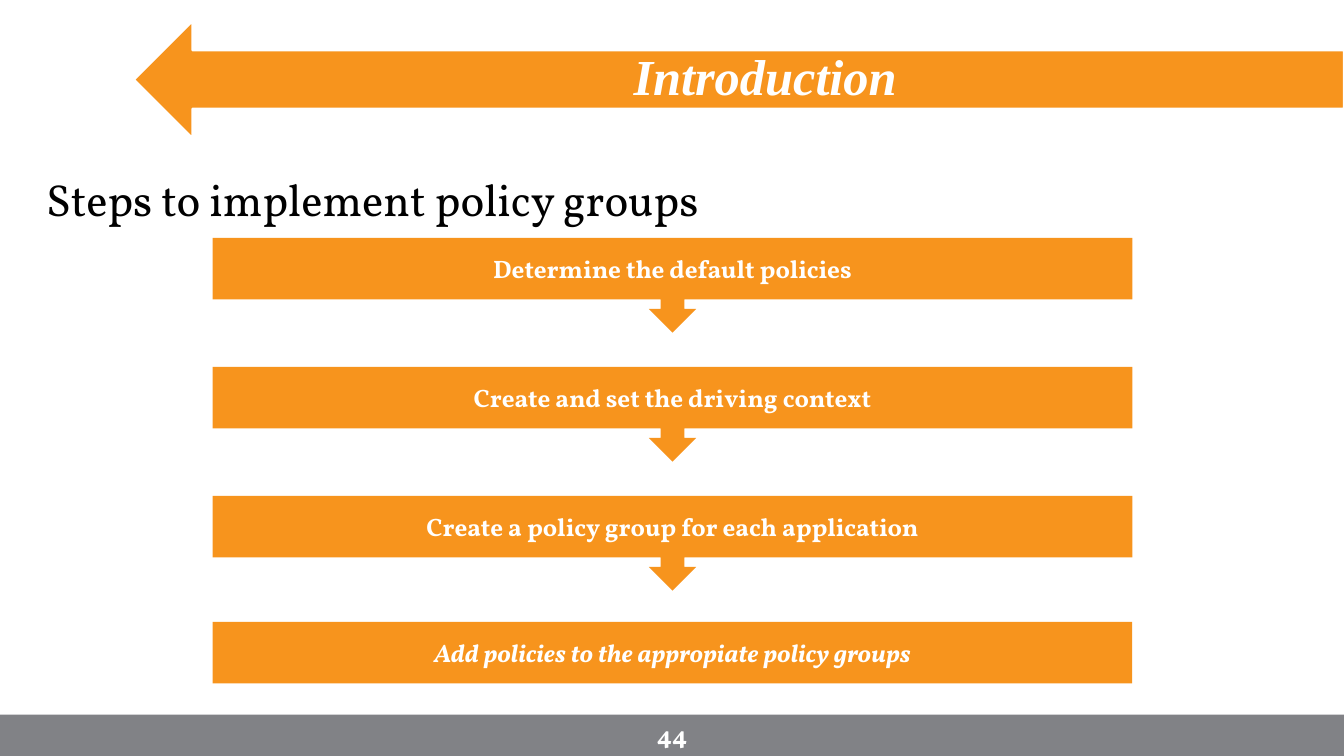
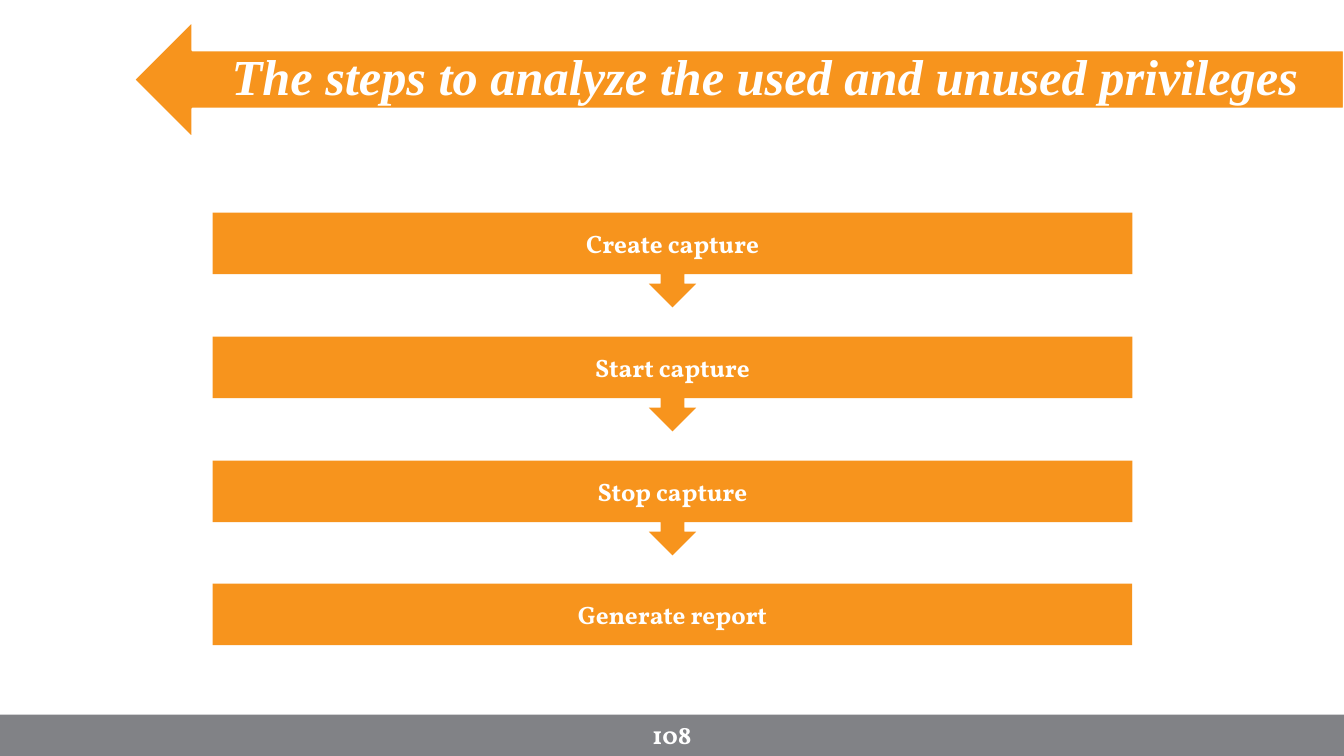
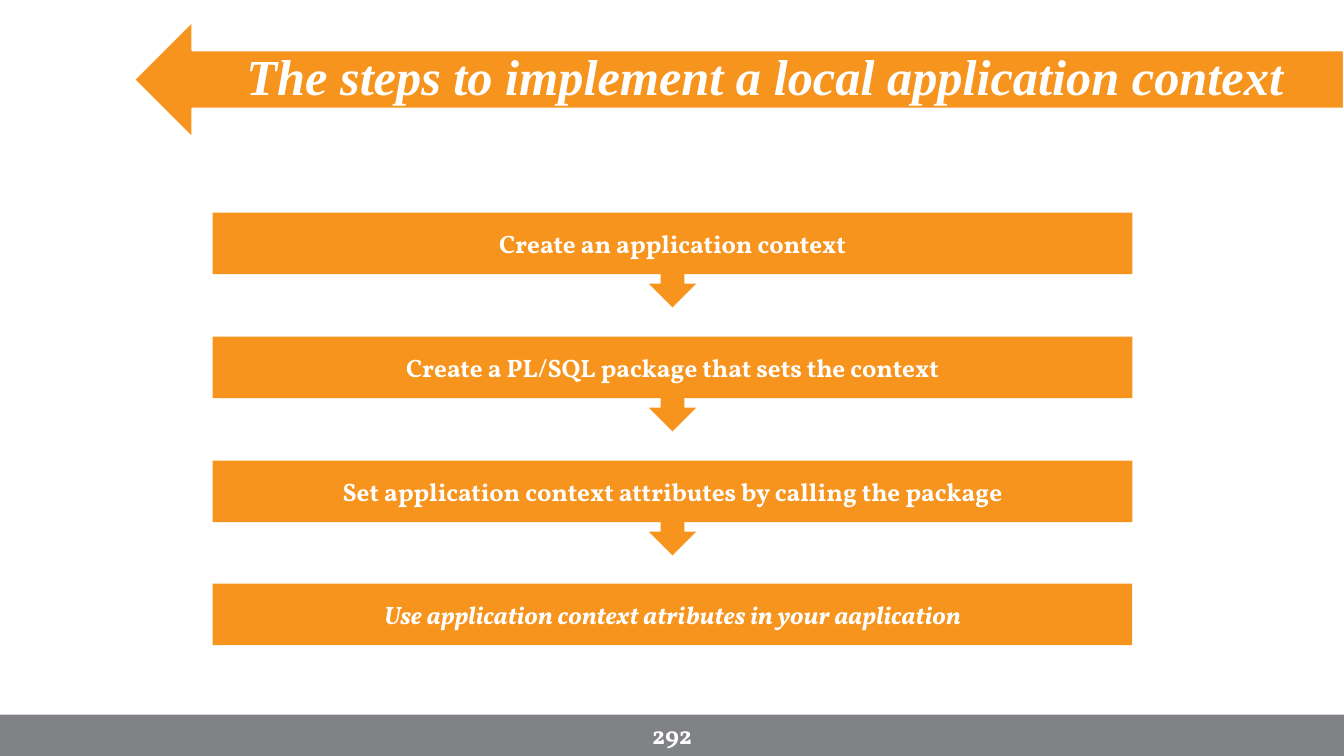
from pptx import Presentation
from pptx.dml.color import RGBColor as RGB
from pptx.enum.shapes import MSO_SHAPE as Kind
from pptx.enum.text import MSO_ANCHOR as Anchor, MSO_AUTO_SIZE as Fit, PP_ALIGN as Align
from pptx.oxml.ns import qn
from pptx.util import Inches, Pt
from lxml import etree

ORANGE, GRAY, WHITE, BLACK = "F7941D", "818286", "FFFFFF", "000000"
HEAD, BODY = "Times New Roman", "Vollkorn"
WIDE, HIGH = 13.33, 7.5
TITLE = (1.66, 0.43, 11.86, 0.72)
POINT = (1.33, 0.21, 12, 1.16)
FOOT = (0, 7.09, WIDE, 0.41)
NUMBER = (6.29, 7.09, 0.75, 0.4)
LEAD = (0.36, 1.65, 12.59, 0.7)

DECK = [
    dict(title="Introduction", number="44", lead="Steps to implement policy groups",
         top=2.36, pitch=1.28, end=6.17, slant=True,
         steps=["Determine the default policies",
                "Create and set the driving context",
                "Create a policy group for each application",
                "Add policies to the appropiate policy groups"]),
    dict(title="The steps to analyze the used and unused privileges", number="108",
         steps=["Create capture", "Start capture", "Stop capture", "Generate report"]),
    dict(title="The steps to implement a local application context", number="292",
         slant=True,
         steps=["Create an application context",
                "Create a PL/SQL package that sets the context",
                "Set application context attributes by calling the package",
                "Use application context atributes in your aaplication"]),
]


def color(code):
    return RGB.from_string(code)


def inches(box):
    return [Inches(n) for n in box]


def write(shape, text, size=18, face=BODY, ink=WHITE, bold=True, italic=False,
          align=Align.CENTER, anchor=Anchor.MIDDLE):
    frame = shape.text_frame
    frame.word_wrap = True
    frame.auto_size = Fit.NONE
    frame.vertical_anchor = anchor
    frame.text = text
    para = frame.paragraphs[0]
    para.alignment = align
    font = para.font
    font.name, font.size, font.bold, font.italic = face, Pt(size), bold, italic
    font.color.rgb = color(ink)
    return para


def block(slide, kind, box, fill, line=None):
    shape = slide.shapes.add_shape(kind, *inches(box))
    shape.shadow.inherit = False
    shape.fill.solid()
    shape.fill.fore_color.rgb = color(fill)
    if line:
        shape.line.color.rgb = color(line)
        shape.line.width = Pt(1.5)
    else:
        shape.line.fill.background()
    return shape


def brand(slide, layout):
    parts = [block(slide, Kind.LEFT_ARROW, POINT, ORANGE, WHITE),
             block(slide, Kind.RECTANGLE, FOOT, GRAY)]
    for rank, part in enumerate(parts):
        part.element.nvSpPr.cNvPr.set("id", str(20 + rank))
        layout.shapes.element.insert(2 + rank, part.element)


def head(slide, text, box):
    title = slide.shapes.title
    title.left, title.top, title.width, title.height = inches(box)
    write(title, text, 36, HEAD, italic=True).line_spacing = 0.9


def foot(slide, text, box):
    write(slide.shapes.add_textbox(*inches(box)), text)


def bullet(slide, text, box):
    shape = slide.shapes.add_textbox(*inches(box))
    para = shape.text_frame.paragraphs[0]
    props = para._p.get_or_add_pPr()
    props.set("marL", str(Inches(0.25)))
    props.set("indent", str(-Inches(0.25)))
    etree.SubElement(props, qn("a:buFont")).set("typeface", "Arial")
    etree.SubElement(props, qn("a:buChar")).set("char", "•")
    write(shape, text, 32, ink=BLACK, bold=False, align=Align.LEFT, anchor=Anchor.TOP)
    para.line_spacing = 0.9


def flow(slide, steps, top, pitch, end, slant, left=2.11, width=9.12):
    for rank, text in enumerate(steps[:-1]):
        box = (left, top + rank * pitch, width, 0.94)
        write(block(slide, Kind.DOWN_ARROW_CALLOUT, box, ORANGE), text)
    last = block(slide, Kind.RECTANGLE, (left, end, width, 0.61), ORANGE)
    write(last, steps[-1], italic=slant)


def build(slide, title, number, steps, lead=None, top=2.11, pitch=1.23, end=5.79,
          slant=False):
    head(slide, title, TITLE)
    foot(slide, number, NUMBER)
    if lead:
        bullet(slide, lead, LEAD)
    flow(slide, steps, top, pitch, end, slant)


def main():
    deck = Presentation()
    deck.slide_width, deck.slide_height = inches((WIDE, HIGH))
    layout = deck.slide_layouts[5]
    for rank, data in enumerate(DECK):
        slide = deck.slides.add_slide(layout)
        if rank == 0:
            brand(slide, layout)
        build(slide, **data)
    deck.save("out.pptx")


if __name__ == "__main__":
    main()
